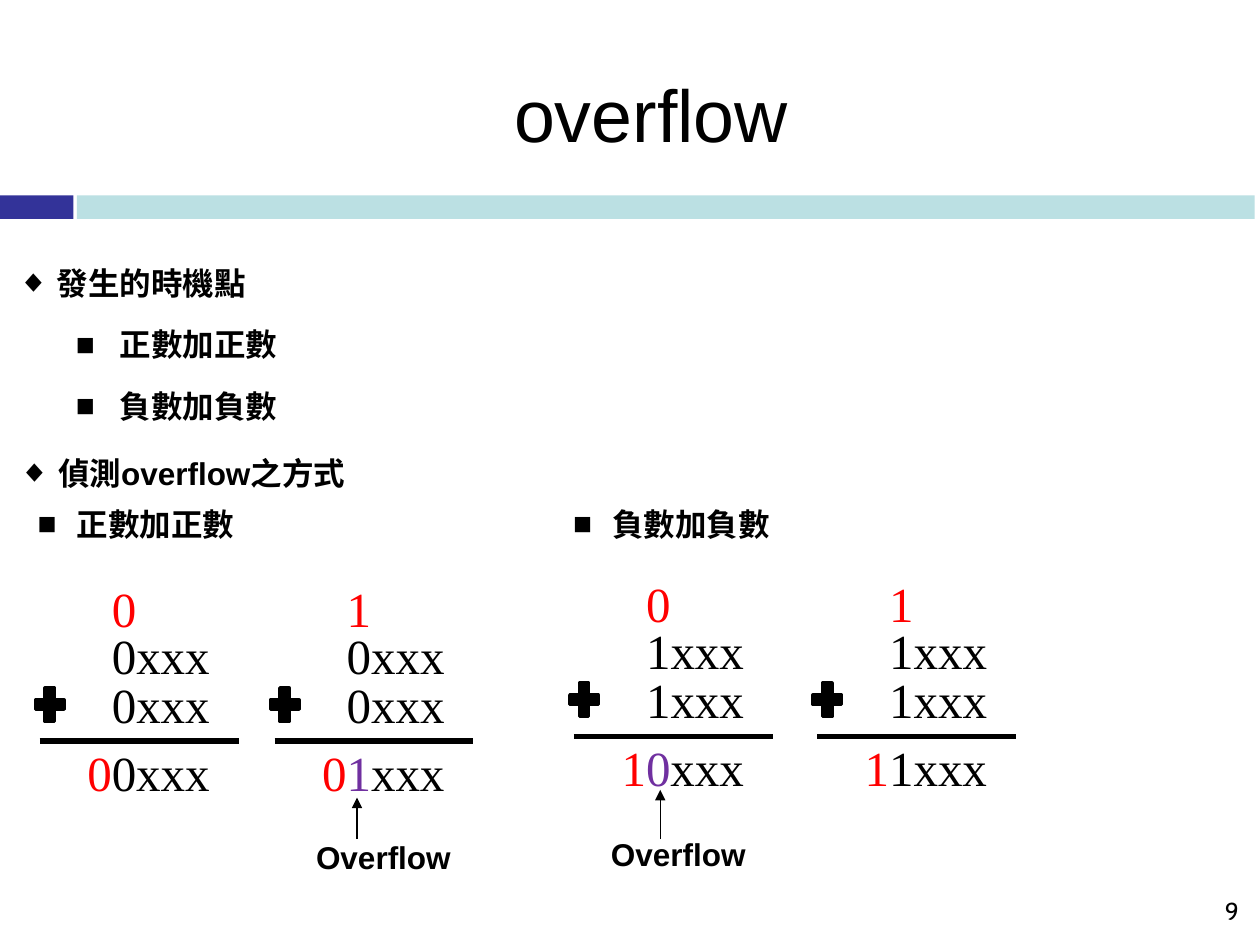
"""Build the slide on overflow in binary addition."""
from dataclasses import dataclass

from lxml.etree import SubElement
from pptx import Presentation
from pptx.dml.color import RGBColor
from pptx.enum.shapes import MSO_CONNECTOR as Connector, MSO_SHAPE as Preset
from pptx.enum.text import PP_ALIGN as Align
from pptx.oxml.ns import qn
from pptx.util import Pt

COLORS = {
    "ink": "000000",
    "carry": "FF0000",
    "sign": "7030A0",
    "navy": "333399",
    "aqua": "BBE0E3",
}
SANS, SERIF, CJK, NUMBER = "Arial", "Times New Roman", "Noto Sans CJK SC", "Cabin"


@dataclass(frozen=True)
class Span:
    text: str
    font: str = SERIF
    size: float = 28
    color: str = "ink"
    bold: bool = False


@dataclass(frozen=True)
class Para:
    spans: tuple[Span, ...]
    align: Align = Align.LEFT
    bullet: str = ""
    margin: float = 0
    hang: float = 0
    level: int = 0
    spacing: float = 0


@dataclass(frozen=True)
class Sum:
    left: float
    top: float
    carry: str
    addend: str
    result: tuple[Span, ...]


@dataclass(frozen=True)
class Callout:
    left: float
    top: float
    arrow_x: float
    arrow_tip: float


def rgb(name: str) -> RGBColor:
    """Return the named colour."""
    return RGBColor.from_string(COLORS[name])


def add_span(para, item: Span) -> None:
    """Append one run to a paragraph."""
    span = para.add_run()
    span.text = item.text
    font = span.font
    font.name, font.size, font.bold = item.font, Pt(item.size), item.bold
    font.color.rgb = rgb(item.color)
    SubElement(font._element, qn("a:ea"), typeface=CJK)


def add_bullet(para, item: Para) -> None:
    """Give a paragraph its bullet and hanging indent."""
    props = para._p.get_or_add_pPr()
    props.set("marL", str(Pt(item.margin)))
    props.set("indent", str(Pt(-item.hang)))
    SubElement(props, qn("a:buFont"), typeface=SANS)
    SubElement(props, qn("a:buChar"), char=item.bullet)


def add_text(page, left: float, top: float, width: float, height: float, *paras: Para, inset: float = 3.6) -> None:
    """Place a text box holding the given paragraphs."""
    frame = page.shapes.add_textbox(Pt(left), Pt(top), Pt(width), Pt(height)).text_frame
    frame.word_wrap = True
    frame.margin_top = Pt(inset)
    for index, item in enumerate(paras):
        para = frame.add_paragraph() if index else frame.paragraphs[0]
        para.alignment, para.level = item.align, item.level
        if item.spacing:
            para.line_spacing = Pt(item.spacing)
        if item.bullet:
            add_bullet(para, item)
        for span in item.spans:
            add_span(para, span)


def add_preset(page, preset: Preset, left: float, top: float, width: float, height: float, color: str, outline: float = 0) -> None:
    """Place a filled preset shape, outlined when a width is given."""
    shape = page.shapes.add_shape(preset, Pt(left), Pt(top), Pt(width), Pt(height))
    shape.shadow.inherit = False
    shape.fill.solid()
    shape.fill.fore_color.rgb = rgb(color)
    if outline:
        shape.line.color.rgb = rgb(color)
        shape.line.width = Pt(outline)
    else:
        shape.line.fill.background()


def add_line(page, x1: float, y1: float, x2: float, y2: float, width: float, arrow: bool = False) -> None:
    """Draw a straight line, with an arrowhead at its end on request."""
    line = page.shapes.add_connector(Connector.STRAIGHT, Pt(x1), Pt(y1), Pt(x2), Pt(y2))
    line.line.color.rgb = rgb("ink")
    line.line.width = Pt(width)
    if arrow:
        SubElement(line.line._get_or_add_ln(), qn("a:tailEnd"), type="triangle")
    SubElement(line._element.spPr, qn("a:effectLst"))


def add_sum(page, item: Sum) -> None:
    """Draw one written addition with its carry."""
    digits, rule = item.left + 39.5, item.top + 96.5
    add_text(page, digits, item.top, 45, 41, Para((Span(item.carry, color="carry"),)))
    for offset in (26.7, 55):
        add_text(page, digits, item.top + offset, 73.5, 41, Para((Span(item.addend),)))
    add_preset(page, Preset.MATH_PLUS, item.left, item.top + 62.7, 22.3, 26, "ink", 2)
    add_line(page, item.left + 5.4, rule, item.left + 119, rule, 3)
    add_text(page, item.left + 25.5, item.top + 93.7, 85, 41, Para(item.result))


def add_callout(page, item: Callout) -> None:
    """Label an overflowing sign bit."""
    label = Span("Overflow", SANS, 18, bold=True)
    add_text(page, item.left, item.top, 93, 29, Para((label,)))
    add_line(page, item.arrow_x, 479.5, item.arrow_x, item.arrow_tip, 0.75, True)


def heading(text: str, font: str = CJK) -> Span:
    """Return a bold outline span."""
    return Span(text, font, 18, bold=True)


def topic(*spans: Span) -> Para:
    """Return a first-level outline paragraph."""
    return Para(spans, bullet="◆", margin=22.5, hang=25.2, spacing=35)


def case(text: str) -> Para:
    """Return a second-level outline paragraph."""
    return Para((heading(text),), bullet="■", margin=58.5, hang=25.2, level=1, spacing=35)


CASES = {"正數加正數": 14.4, "負數加負數": 320.4}
SUMS = (
    Sum(17.3, 327, "0", "0xxx", (Span("0", color="carry"), Span("0xxx"))),
    Sum(151.5, 327, "1", "0xxx", (Span("0", color="carry"), Span("1", color="sign"), Span("xxx"))),
    Sum(322.6, 324.2, "0", "1xxx", (Span("1", color="carry"), Span("0", color="sign"), Span("xxx"))),
    Sum(461.5, 324.2, "1", "1xxx", (Span("1", color="carry"), Span("1xxx"))),
)
CALLOUTS = (Callout(173.5, 475.2, 204, 455.8), Callout(342, 473.8, 377.3, 451.4))


def main() -> None:
    """Build and save the deck."""
    deck = Presentation()
    deck.slide_width, deck.slide_height = Pt(720), Pt(540)
    page = deck.slides.add_slide(deck.slide_layouts[6])
    add_preset(page, Preset.RECTANGLE, 0, 111.6, 42, 13.5, "navy")
    add_preset(page, Preset.RECTANGLE, 44, 111.6, 673, 13.5, "aqua")
    add_text(page, 547, 508.3, 168, 26, Para((Span("9", NUMBER, 14),), Align.RIGHT))
    add_text(page, 88, 31.7, 568, 90, Para((Span("overflow", SANS, 42),), Align.CENTER), inset=7.5)
    add_text(page, 3, 134, 499, 109, topic(heading("發生的時機點")), *map(case, CASES))
    add_text(page, 3.6, 242.6, 214.5, 113,
             topic(heading("偵測", SERIF), heading("overflow", SANS), heading("之方式", SERIF)))
    for text, left in CASES.items():
        add_text(page, left, 285, 175.7, 29, Para((heading(text),), bullet="■", margin=22.5, hang=22.5))
    for item in SUMS:
        add_sum(page, item)
    for item in CALLOUTS:
        add_callout(page, item)
    deck.save("out.pptx")


if __name__ == "__main__":
    main()
